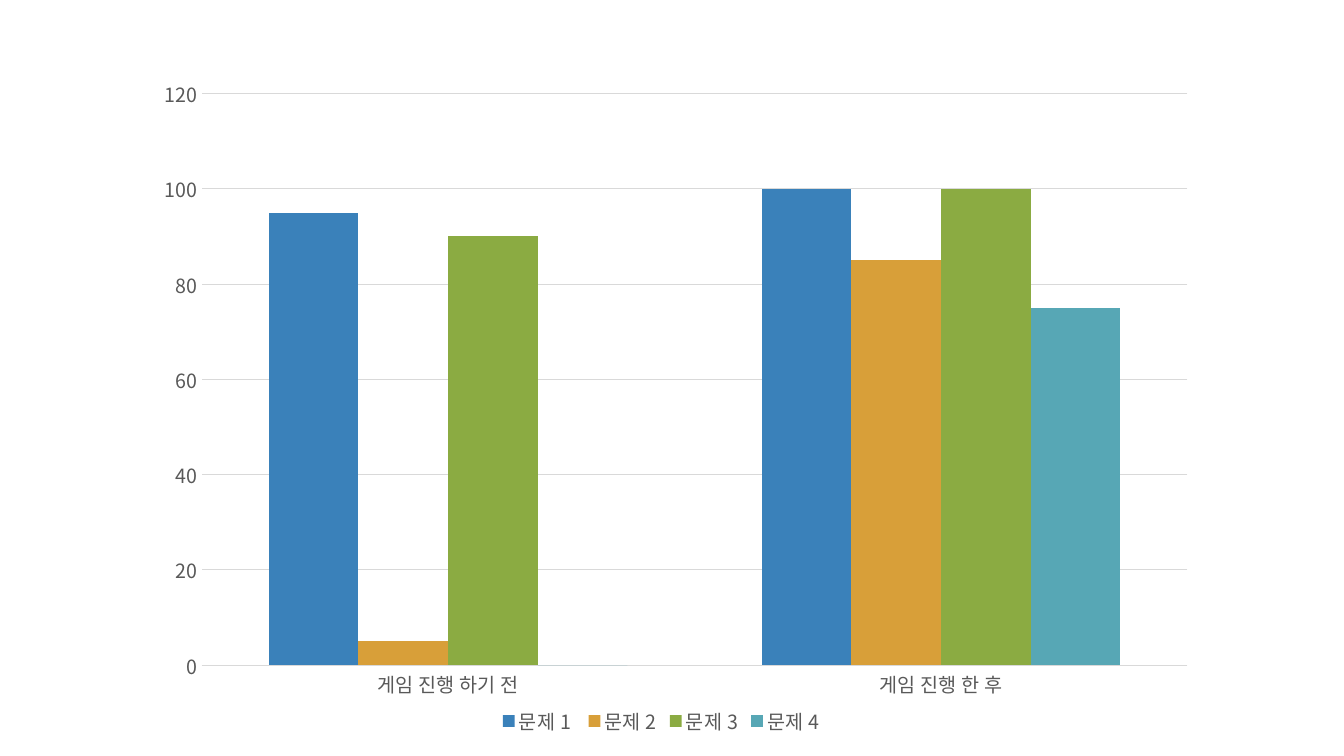
"""Column chart comparing four questions before and after playing the game."""
from dataclasses import dataclass

from lxml import etree
from pptx import Presentation
from pptx import util as u
from pptx.chart.data import CategoryChartData
from pptx.dml.color import RGBColor
from pptx.enum import chart as ch
from pptx.oxml.ns import qn


@dataclass(frozen=True)
class Theme:
    font: str = "Noto Sans CJK KR"
    size: int = 14
    text: str = "595959"
    rule: str = "D9D9D9"
    rule_width: float = 0.75
    questions: tuple = ("3A81BA", "D89F39", "8BAB42", "57A7B5")


class Deck:
    def __init__(self, theme):
        self.theme = theme
        self.prs = Presentation()
        self.prs.slide_width, self.prs.slide_height = u.Pt(960), u.Pt(540)
        self.slide = self.prs.slides.add_slide(self.prs.slide_layouts[6])

    def style_font(self, font):
        font.name = self.theme.font
        font.size = u.Pt(self.theme.size)
        font.color.rgb = RGBColor.from_string(self.theme.text)

    def style_rule(self, line):
        line.color.rgb = RGBColor.from_string(self.theme.rule)
        line.width = u.Pt(self.theme.rule_width)

    def place_plot(self, chart, x, y, w, h):
        plot_area = chart.element.xpath("c:chart/c:plotArea")[0]
        for automatic in plot_area.findall(qn("c:layout")):
            plot_area.remove(automatic)
        layout = etree.Element(qn("c:layout"))
        manual = etree.SubElement(layout, qn("c:manualLayout"))
        settings = dict(layoutTarget="inner", xMode="edge", yMode="edge", x=x, y=y, w=w, h=h)
        for tag, value in settings.items():
            etree.SubElement(manual, qn(f"c:{tag}")).set("val", str(value))
        plot_area.insert(0, layout)

    def column_chart(self, stages, scores, box, plot_box, top, step):
        data = CategoryChartData()
        data.categories = stages
        for question, values in scores.items():
            data.add_series(question, values)
        chart = self.slide.shapes.add_chart(
            ch.XL_CHART_TYPE.COLUMN_CLUSTERED, *map(u.Pt, box), data).chart
        chart.has_title = False
        self.style_font(chart.font)

        columns = chart.plots[0]
        columns.gap_width, columns.overlap = 150, 0
        columns.vary_by_categories = False
        for question, color in zip(columns.series, self.theme.questions):
            question.format.fill.solid()
            question.format.fill.fore_color.rgb = RGBColor.from_string(color)

        stage_axis, score_axis = chart.category_axis, chart.value_axis
        for axis in (stage_axis, score_axis):
            axis.major_tick_mark = axis.minor_tick_mark = ch.XL_TICK_MARK.NONE
            self.style_font(axis.tick_labels.font)
        self.style_rule(stage_axis.format.line)
        score_axis.format.line.fill.background()
        score_axis.minimum_scale, score_axis.maximum_scale = 0, top
        score_axis.major_unit = step
        score_axis.has_major_gridlines = True
        self.style_rule(score_axis.major_gridlines.format.line)

        chart.has_legend = True
        chart.legend.position = ch.XL_LEGEND_POSITION.BOTTOM
        chart.legend.include_in_layout = False
        self.style_font(chart.legend.font)

        self.place_plot(chart, *plot_box)
        for latin in chart.element.xpath(".//a:latin"):
            east_asian = etree.Element(qn("a:ea"))
            east_asian.set("typeface", self.theme.font)
            latin.addnext(east_asian)


def main():
    deck = Deck(Theme())
    deck.column_chart(
        stages=("게임 진행 하기 전", "게임 진행 한 후"),
        scores={
            "문제 1 ": (95, 100),
            "문제 2": (5, 85),
            "문제 3": (90, 100),
            "문제 4": (0, 75),
        },
        box=(87, 14.5, 770.5, 513.5),
        plot_box=(0.074, 0.102, 0.914, 0.795),
        top=120,
        step=20,
    )
    deck.prs.save("out.pptx")


if __name__ == "__main__":
    main()
